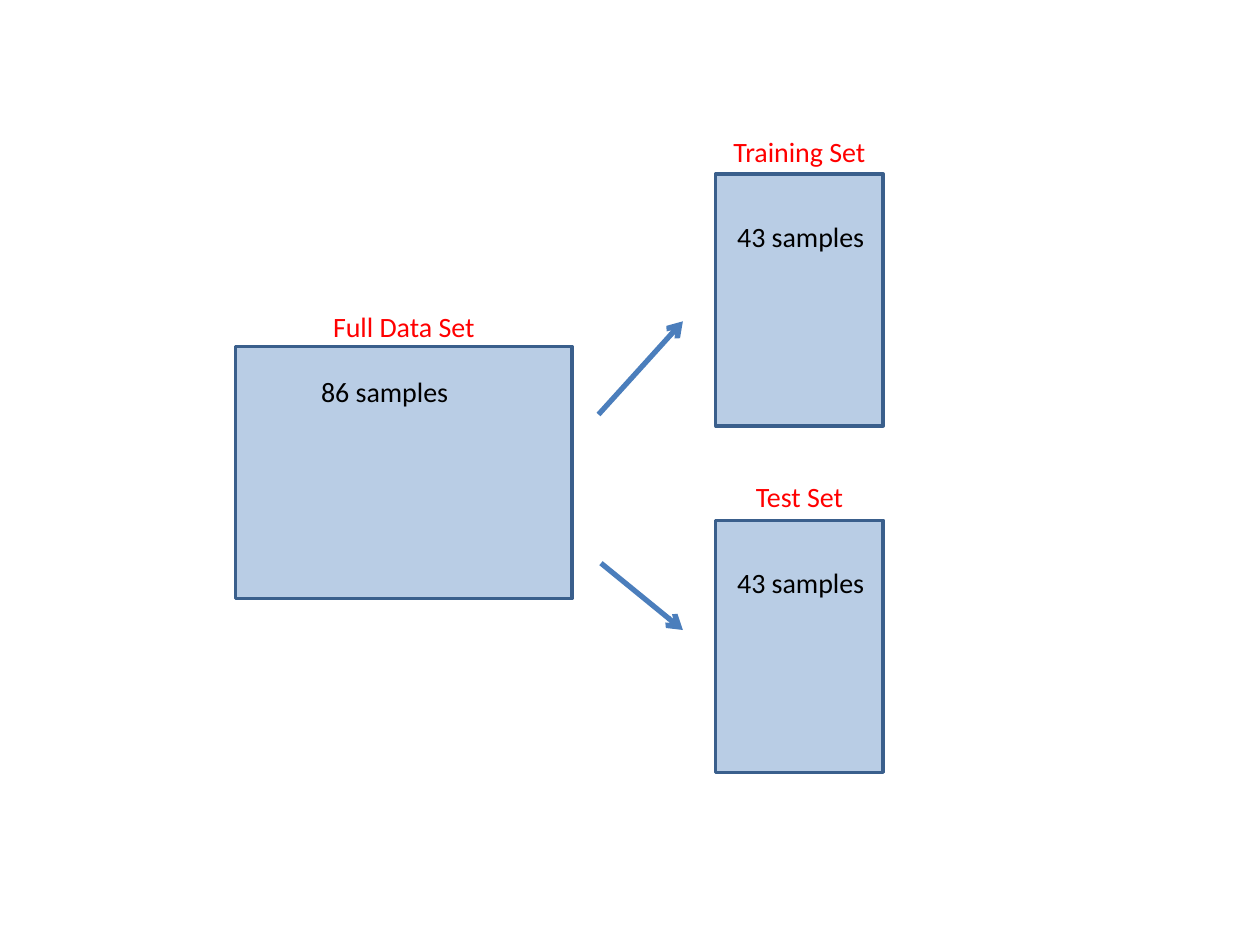
from lxml import etree
from pptx import Presentation
from pptx.dml.color import RGBColor
from pptx.enum.shapes import MSO_CONNECTOR, MSO_SHAPE
from pptx.enum.text import MSO_AUTO_SIZE, PP_ALIGN
from pptx.oxml.ns import qn
from pptx.util import Inches, Pt

RECT, LINE = MSO_SHAPE.RECTANGLE, MSO_CONNECTOR.STRAIGHT
LEFT, CENTER = PP_ALIGN.LEFT, PP_ALIGN.CENTER
GROW = MSO_AUTO_SIZE.SHAPE_TO_FIT_TEXT

COLORS = {"fill": "B9CDE5", "edge": "3A5F8C", "arrow": "4B7EBC",
          "title": "FF0000", "count": "000000"}
FONT = {"name": "Calibri", "size": Pt(16)}

BOX_H = 2
# title, title rise, count, count offset and width, alignment, box left, top, width
SETS = [
    ("Full Data Set", 0.34, "86 samples", (0.58, 0.17, 1.5), LEFT, 1.87, 2.75, 2.67),
    ("Training Set", 0.36, "43 samples", (0.01, 0.31, 1.33), CENTER, 5.68, 1.38, 1.33),
    ("Test Set", 0.37, "43 samples", (0.01, 0.31, 1.33), CENTER, 5.68, 4.13, 1.33),
]
ARROWS = [(4.77, 4.47, 5.42, 5), (4.75, 3.29, 5.42, 2.55)]


def color(key):
    """Return a named colour."""
    return RGBColor.from_string(COLORS[key])


def add_box(slide, *place):
    """Draw one data set rectangle."""
    box = slide.shapes.add_shape(RECT, *map(Inches, place))
    box.shadow.inherit = False
    box.fill.solid()
    box.fill.fore_color.rgb = color("fill")
    box.line.color.rgb = color("edge")
    box.line.width = Pt(2)


def add_label(slide, text, key, align, *place):
    """Write one line of text."""
    label = slide.shapes.add_textbox(*map(Inches, place))
    frame = label.text_frame
    frame.word_wrap = True
    frame.auto_size = GROW
    para = frame.paragraphs[0]
    para.alignment = align
    run = para.add_run()
    run.text = text
    for name, value in FONT.items():
        setattr(run.font, name, value)
    run.font.color.rgb = color(key)


def add_arrow(slide, *ends):
    """Draw an arrow with an open head at its end."""
    arrow = slide.shapes.add_connector(LINE, *map(Inches, ends))
    arrow.line.color.rgb = color("arrow")
    arrow.line.width = Pt(3)
    etree.SubElement(arrow.line._get_or_add_ln(), qn("a:tailEnd"), type="arrow")
    etree.SubElement(arrow._element.spPr, qn("a:effectLst"))


deck = Presentation()
deck.slide_width, deck.slide_height = Inches(10), Inches(7.5)
slide = deck.slides.add_slide(deck.slide_layouts[6])

for title, rise, count, (dx, dy, wide), align, left, top, width in SETS:
    add_box(slide, left, top, width, BOX_H)
    add_label(slide, count, "count", align, left + dx, top + dy, wide, 0.37)
    add_label(slide, title, "title", CENTER, left, top - rise, width, 0.37)
for ends in ARROWS:
    add_arrow(slide, *ends)

deck.save("out.pptx")
